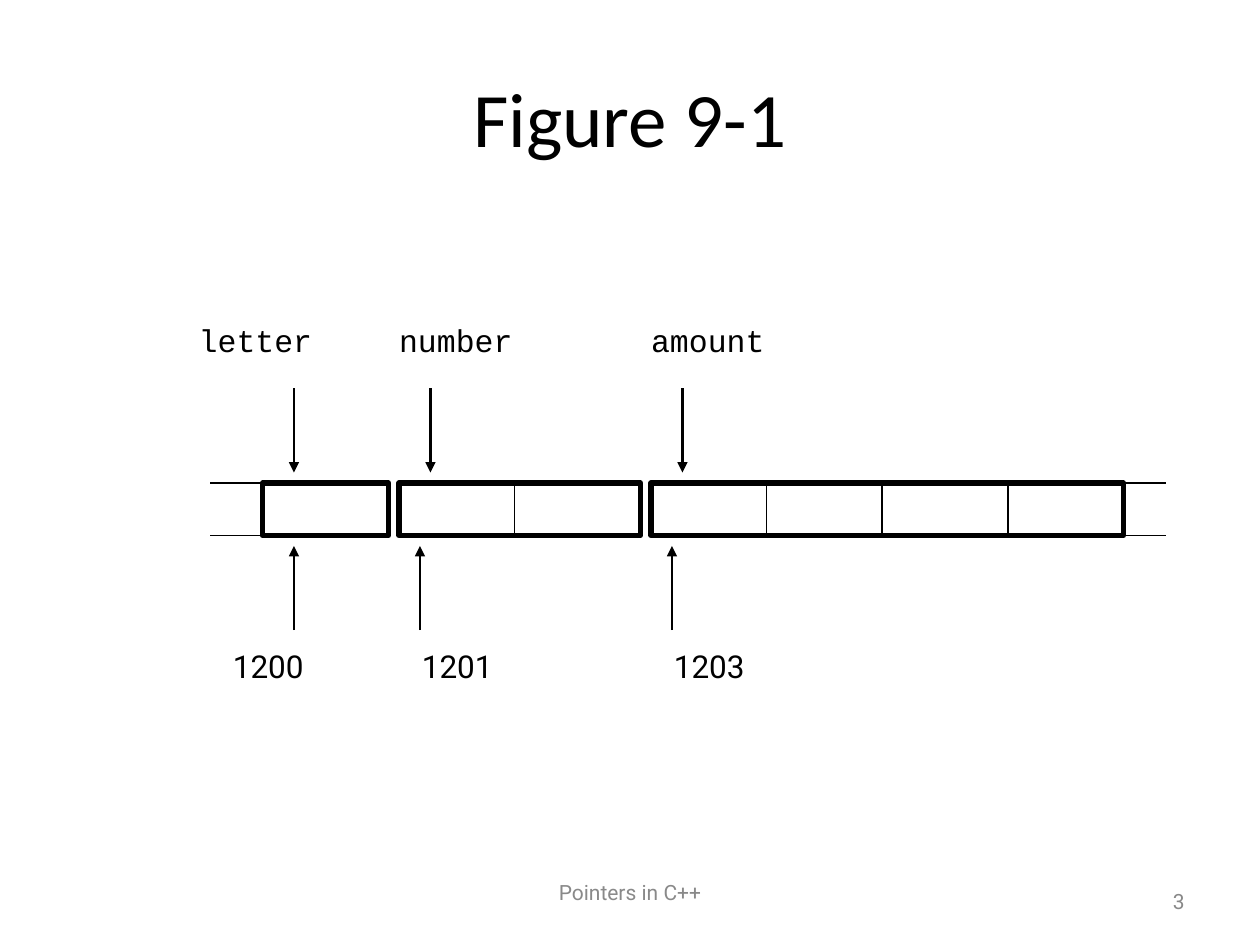
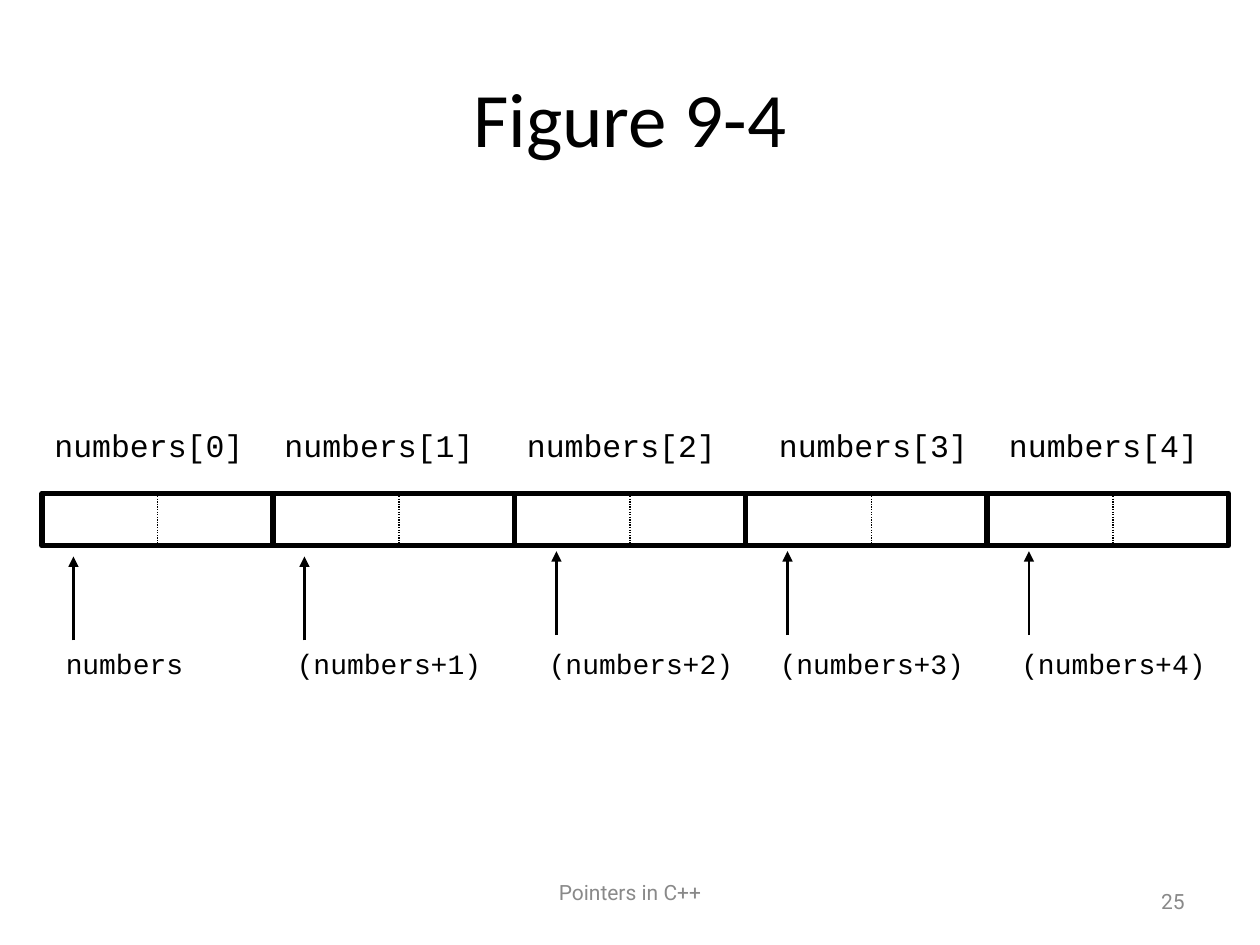
from lxml import etree
from pptx import Presentation
from pptx.dml.color import RGBColor
from pptx.enum.dml import MSO_LINE
from pptx.enum.shapes import MSO_CONNECTOR as Connector, MSO_SHAPE as Shape
from pptx.enum.text import MSO_ANCHOR as Anchor, MSO_AUTO_SIZE as AutoSize, PP_ALIGN as Align
from pptx.oxml.ns import qn
from pptx.util import Pt

COLORS = {"ink": "000000", "footer": "898989", "paper": "FFFFFF"}
TITLE_FONT, BODY_FONT, CODE_FONT = "Calibri", "Roboto", "Courier New"
CHARACTER_WIDTH = {BODY_FONT: 0.56, CODE_FONT: 0.6}  # as a share of the font size
THIN, ARROW, THICK = 0.75, 1.5, 3
CELL_HEIGHT = 30
ARROW_LENGTH = 48


class Deck:
    """Holds the shared style and the slide being built."""

    def __init__(self):
        self.presentation = Presentation()
        self.presentation.slide_width = Pt(720)
        self.presentation.slide_height = Pt(540)
        self.slide = None

    def color(self, name):
        return RGBColor.from_string(COLORS[name])

    def set_text(self, shape, text, font, size, color="ink", align=Align.LEFT):
        shape.text_frame.text = text
        paragraph = shape.text_frame.paragraphs[0]
        paragraph.alignment = align
        run_font = paragraph.runs[0].font
        run_font.name, run_font.size = font, Pt(size)
        run_font.color.rgb = self.color(color)

    def start_slide(self, title, number):
        layout = self.presentation.slide_layouts.get_by_name("Title Only")
        self.slide = self.presentation.slides.add_slide(layout)
        self.slide.background.fill.solid()
        self.slide.background.fill.fore_color.rgb = self.color("paper")
        heading = self.slide.shapes.title
        heading.left, heading.top, heading.width, heading.height = Pt(36), Pt(21.6), Pt(648), Pt(90)
        heading.text_frame.vertical_anchor = Anchor.MIDDLE
        heading.text_frame.auto_size = AutoSize.NONE
        self.set_text(heading, title, TITLE_FONT, 44, align=Align.CENTER)
        self.footer("Pointers in C++", 246, 492, 228, 36, Align.CENTER)
        self.footer(str(number), 516, 500.4, 168, 28.8, Align.RIGHT)

    def footer(self, text, left, top, width, height, align):
        box = self.slide.shapes.add_textbox(Pt(left), Pt(top), Pt(width), Pt(height))
        box.text_frame.word_wrap = True
        box.text_frame.vertical_anchor = Anchor.MIDDLE
        self.set_text(box, text, BODY_FONT, 12, "footer", align)

    def label(self, text, left, top, font=CODE_FONT, size=18):
        width = len(text) * size * CHARACTER_WIDTH[font] + 14.4
        box = self.slide.shapes.add_textbox(Pt(left), Pt(top), Pt(width), Pt(size * 1.2 + 7.2))
        box.text_frame.word_wrap = False
        box.text_frame.auto_size = AutoSize.SHAPE_TO_FIT_TEXT
        self.set_text(box, text, font, size)

    def cell(self, left, top, width):
        box = self.slide.shapes.add_shape(
            Shape.RECTANGLE, Pt(left), Pt(top), Pt(width), Pt(CELL_HEIGHT))
        box.shadow.inherit = False
        box.fill.background()
        box.line.color.rgb = self.color("ink")
        box.line.width = Pt(THICK)

    def line(self, start, end, weight=THIN, dash=None):
        connector = self.slide.shapes.add_connector(
            Connector.STRAIGHT, *(Pt(value) for value in (*start, *end)))
        connector.line.color.rgb = self.color("ink")
        connector.line.width = Pt(weight)
        if dash:
            connector.line.dash_style = dash
        etree.SubElement(connector.element.spPr, qn("a:effectLst"))
        return connector

    def divider(self, x, top, weight=THIN, dash=None):
        self.line((x, top), (x, top + CELL_HEIGHT), weight, dash)

    def arrow(self, x, start, end):
        connector = self.line((x, start), (x, end), ARROW)
        outline = connector.element.spPr.find(qn("a:ln"))
        etree.SubElement(outline, qn("a:tailEnd"), type="triangle")


def build_variables(deck):
    deck.start_slide("Figure 9-1", 3)
    top = 276
    bottom = top + CELL_HEIGHT

    # Memory cells and their byte boundaries
    for left, width in ((150, 72), (228, 138), (372, 270)):
        deck.cell(left, top, width)
    for x in (294, 438, 504, 576):
        deck.divider(x, top)

    # Memory that continues on both sides
    for y in (top, bottom):
        deck.line((150, y), (120, y))
        deck.line((642, y), (666, y))

    # Variable names above, addresses below
    for name, left, x in (("letter", 106.5, 168), ("number", 221, 246), ("amount", 365, 390)):
        deck.label(name, left, 180)
        deck.arrow(x, top - 6 - ARROW_LENGTH, top - 6)
    for address, left, x in (("1200", 126, 168), ("1201", 234, 240), ("1203", 378, 384)):
        deck.label(address, left, 366, BODY_FONT)
        deck.arrow(x, bottom + 6 + ARROW_LENGTH, bottom + 6)


def build_array(deck):
    deck.start_slide("Figure 9-4", 25)
    top = 282

    # Array cells, with solid lines between elements
    for left, width in ((24, 270), (294, 270), (564, 138)):
        deck.cell(left, top, width)
    for x in (156, 426):
        deck.divider(x, top, THICK)

    # Per element: byte boundary, label left, arrow x, arrow tip
    elements = (
        (90, 24, 42, 318),
        (228, 155.5, 174, 318),
        (360, 294, 318, 315),
        (498, 438, 450, 315),
        (636, 569.5, 588, 315),
    )
    for index, (boundary, label_left, arrow_x, tip) in enumerate(elements):
        deck.divider(boundary, top, dash=MSO_LINE.ROUND_DOT)
        deck.label(f"numbers[{index}]", label_left, 240)
        pointer = f"(numbers+{index})" if index else "numbers"
        deck.label(pointer, arrow_x - 11.5, 366, size=16)
        deck.arrow(arrow_x, tip + ARROW_LENGTH, tip)


def main():
    deck = Deck()
    build_variables(deck)
    build_array(deck)
    deck.presentation.save("out.pptx")


if __name__ == "__main__":
    main()
